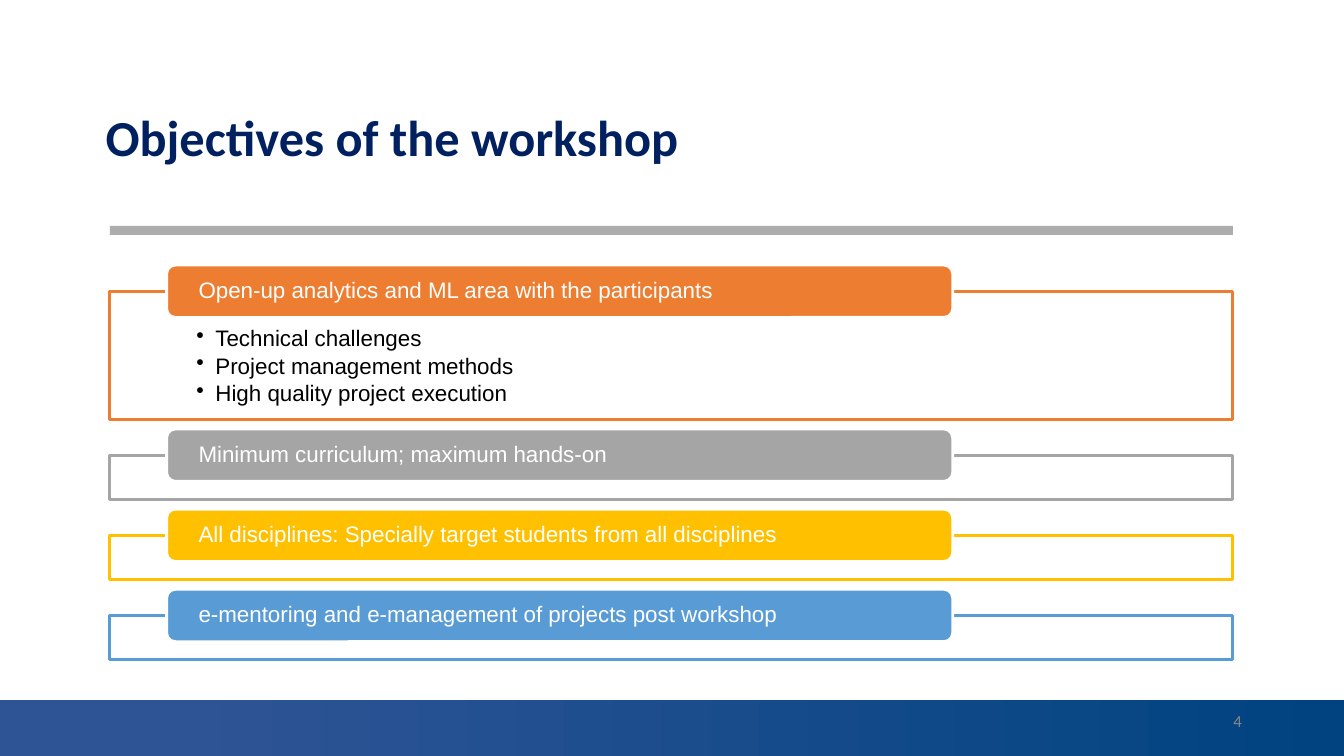
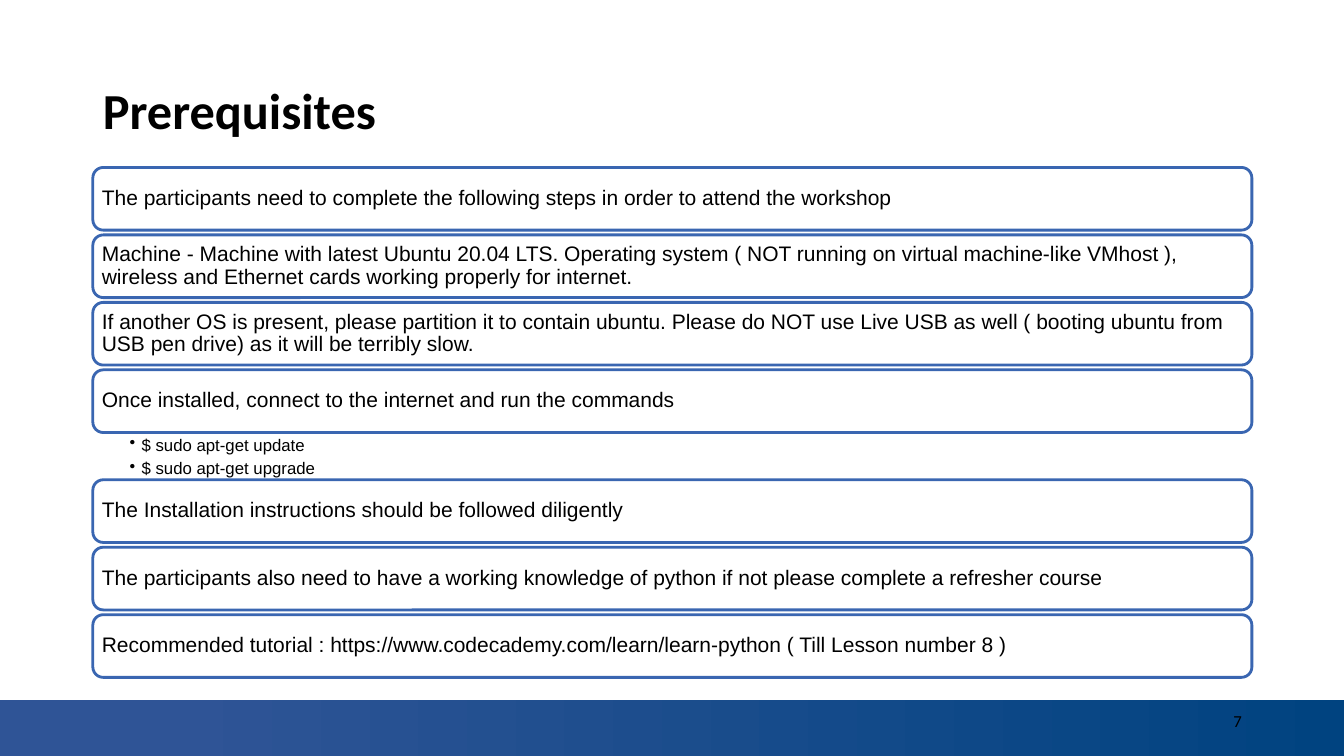
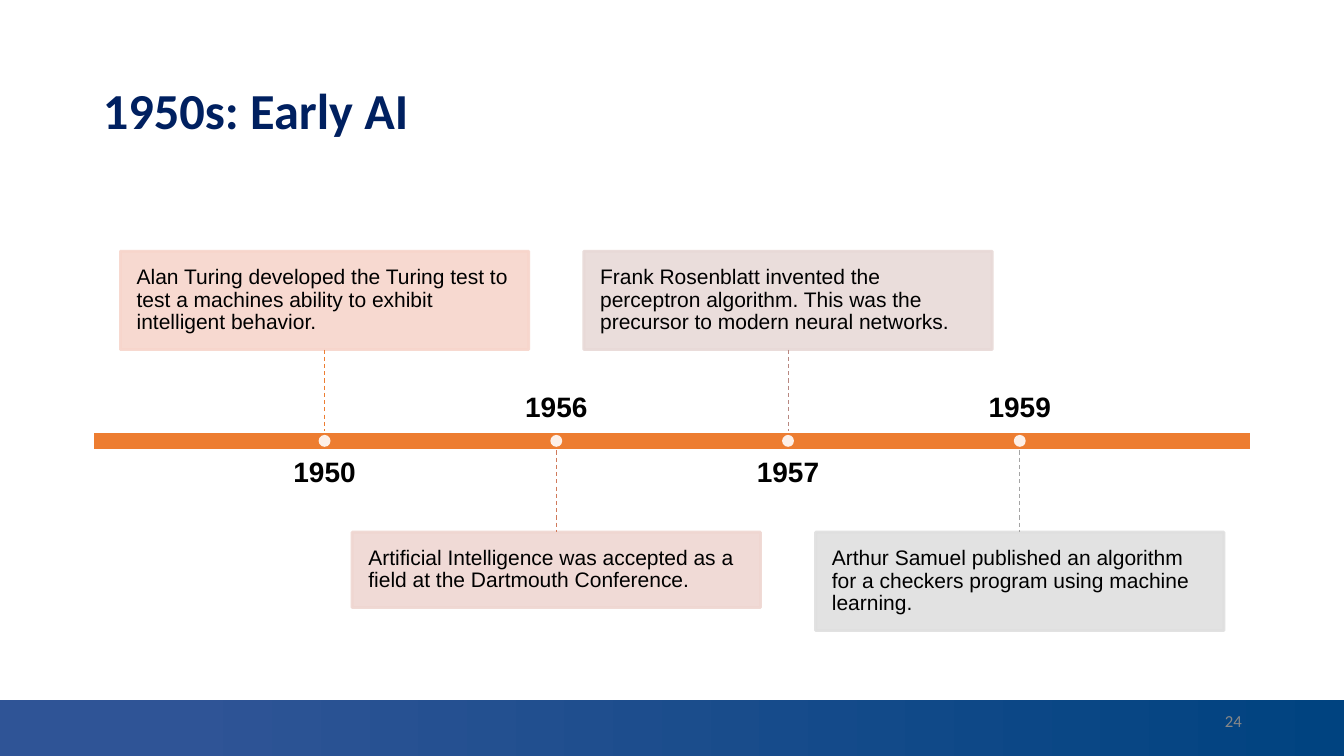
from lxml import etree
from pptx import Presentation
from pptx.dml.color import RGBColor
from pptx.enum import dml, shapes, text
from pptx.oxml.ns import qn
from pptx.util import Cm, Pt


class Theme:
    heading_font, body_font = "Calibri", "Arial"
    navy, black, white, page_grey = "002060", "000000", "FFFFFF", "888888"
    band_start, band_end = "2F5496", "004380"
    rule = "7F7F7F"
    orange, grey, gold, blue = "ED7D31", "A5A5A5", "FFC000", "599BD5"
    step_outline = "3A66B1"
    title_size, year_size, objective_size = 36, 20, 16
    body_size, small_size = 15, 12
    outline = 2
    veil = 89  # opacity of the light fills, in percent


LEFT = text.PP_ALIGN.LEFT
MIDDLE = text.MSO_ANCHOR.MIDDLE
RECTANGLE = shapes.MSO_SHAPE.RECTANGLE
ROUNDED = shapes.MSO_SHAPE.ROUNDED_RECTANGLE


def add_box(slide, kind, place, fill, line=None, opacity=(100, 100)):
    """Add a flat shape; place is in cm, opacity is for fill and line."""
    shape = slide.shapes.add_shape(kind, *map(Cm, place))
    shape.shadow.inherit = False
    shape.fill.solid()
    shape.fill.fore_color.rgb = RGBColor.from_string(fill)
    if line:
        shape.line.color.rgb = RGBColor.from_string(line)
        shape.line.width = Pt(Theme.outline)
    else:
        shape.line.fill.background()
    for colour, percent in zip(shape.element.iter(qn("a:srgbClr")), opacity):
        if percent < 100:
            etree.SubElement(colour, qn("a:alpha"), val=str(percent * 1000))
    return shape


def write(shape, lines, size, colour=Theme.black, font=Theme.body_font, bold=False,
          align=LEFT, anchor=MIDDLE, insets=(0.25, 0.13, 0.25, 0.13),
          spacing=0.9, hanging=None):
    """Write one paragraph per line; hanging is the bullet indent in cm."""
    frame = shape.text_frame
    frame.word_wrap = True
    frame.auto_size = text.MSO_AUTO_SIZE.NONE
    frame.vertical_anchor = anchor
    (frame.margin_left, frame.margin_top,
     frame.margin_right, frame.margin_bottom) = map(Cm, insets)
    for index, line in enumerate(lines):
        paragraph = frame.add_paragraph() if index else frame.paragraphs[0]
        if hanging:
            properties = paragraph._p.get_or_add_pPr()
            properties.set("marL", str(Cm(hanging)))
            properties.set("indent", str(-Cm(hanging)))
            bullet_colour = etree.SubElement(properties, qn("a:buClr"))
            etree.SubElement(bullet_colour, qn("a:srgbClr"), val=colour)
            etree.SubElement(properties, qn("a:buChar"), char="•")
        paragraph.alignment = align
        paragraph.line_spacing = spacing
        if index:
            paragraph.space_before = Pt(2.4)
        run = paragraph.add_run()
        run.text = line
        run.font.name, run.font.size, run.font.bold = font, Pt(size), bold
        run.font.color.rgb = RGBColor.from_string(colour)


presentation = Presentation()
presentation.slide_width, presentation.slide_height = Cm(33.87), Cm(19.05)
layout = presentation.slide_layouts[5]
for placeholder in list(layout.placeholders):
    if placeholder.placeholder_format.type != shapes.PP_PLACEHOLDER.TITLE:
        placeholder.element.getparent().remove(placeholder.element)

# Titles and page numbers
title_place = (2.34, 1.02, 29.21, 3.68)
pages = [
    ("Objectives of the workshop", Theme.navy, (2.41, 1.68, 29.03, 3.68),
     "4", Theme.page_grey),
    ("Prerequisites", Theme.black, title_place, "7", Theme.black),
    ("1950s: Early AI", Theme.navy, title_place, "24", Theme.page_grey),
]
for heading, heading_colour, place, number, number_colour in pages:
    slide = presentation.slides.add_slide(layout)
    title = slide.shapes.title
    title.left, title.top, title.width, title.height = map(Cm, place)
    write(title, [heading], Theme.title_size, heading_colour, Theme.heading_font, bold=True)
    page_number = slide.shapes.add_textbox(Cm(23.93), Cm(17.65), Cm(7.62), Cm(1.02))
    write(page_number, [number], Theme.small_size, number_colour, Theme.heading_font,
          align=text.PP_ALIGN.RIGHT, spacing=1.0)
    page_number.text_frame.paragraphs[0].space_after = Pt(6)
objectives, prerequisites, timeline = presentation.slides

# Bottom band, moved to the layout that all slides share
band = add_box(objectives, RECTANGLE, (0, 17.65, 33.87, 1.4), Theme.band_start)
band.fill.gradient()
band.fill.gradient_angle = 0
for stop, position, colour in zip(band.fill.gradient_stops, (0.13, 1),
                                  (Theme.band_start, Theme.band_end)):
    stop.position = position
    stop.color.rgb = RGBColor.from_string(colour)
layout.shapes.element.insert(2, band.element)

# Objectives: framed sections, each with a header across its top edge
frame_left, frame_width, frame_gap = 2.77, 28.3, 0.9
header_height = 1.32
add_box(objectives, RECTANGLE, (frame_left, 5.69, frame_width, 0.23), Theme.rule,
        opacity=(64, 100))
sections = [
    ("Open-up analytics and ML area with the participants", Theme.orange, 3.23,
     ["Technical challenges", "Project management methods",
      "High quality project execution"]),
    ("Minimum curriculum; maximum hands-on", Theme.grey, 1.12, []),
    ("All disciplines: Specially target students from all disciplines",
     Theme.gold, 1.12, []),
    ("e-mentoring and e-management of projects post workshop", Theme.blue, 1.12, []),
]
top = 7.34
for heading, colour, height, points in sections:
    frame = add_box(objectives, RECTANGLE, (frame_left, top, frame_width, height),
                    Theme.white, colour, (Theme.veil, 100))
    write(frame, points, Theme.objective_size, anchor=text.MSO_ANCHOR.TOP,
          insets=(2.18, 0.91, 2.18, 0.3), hanging=0.48)
    header = add_box(objectives, ROUNDED,
                     (4.2, top - header_height / 2, 19.81, header_height),
                     colour, Theme.white)
    write(header, [heading], Theme.objective_size, Theme.white,
          insets=(0.74, 0, 0.74, 0))
    top += height + frame_gap

# Prerequisites: stacked steps, with commands under one of them
step_left, step_width, step_height, step_gap = 2.34, 29.21, 1.58, 0.12
commands_height = 1.19
steps = [
    ("The participants need to complete the following steps in order to attend "
     "the workshop", []),
    ("Machine - Machine with latest Ubuntu 20.04 LTS. Operating system ( NOT running "
     "on virtual machine-like VMhost ), wireless and Ethernet cards working properly "
     "for internet.", []),
    ("If another OS is present, please partition it to contain ubuntu. Please do NOT "
     "use Live USB as well ( booting ubuntu from USB pen drive) as it will be "
     "terribly slow.", []),
    ("Once installed, connect to the internet and run the commands",
     ["$ sudo apt-get update", "$ sudo apt-get upgrade"]),
    ("The Installation instructions should be followed diligently", []),
    ("The participants also need to have a working knowledge of python if not please "
     "complete a refresher course", []),
    ("Recommended tutorial : https://www.codecademy.com/learn/learn-python "
     "( Till Lesson number 8 )", []),
]
top = 4.22
for step, commands in steps:
    box = add_box(prerequisites, ROUNDED, (step_left, top, step_width, step_height),
                  Theme.white, Theme.step_outline)
    write(box, [step], Theme.body_size, insets=(0.15,) * 4)
    top += step_height
    if commands:
        listing = prerequisites.shapes.add_textbox(
            Cm(step_left), Cm(top), Cm(step_width), Cm(commands_height))
        write(listing, commands, Theme.small_size, anchor=text.MSO_ANCHOR.TOP,
              insets=(0.93, 0.05, 0.3, 0.05), spacing=1.0, hanging=0.3)
        top += commands_height
    else:
        top += step_gap

# Timeline: events alternate above and below the bar
bar_top, bar_height = 10.87, 0.48
bar_bottom = bar_top + bar_height
first_event, event_step = 8.18, 5.84
event_width, stem_length = 10.29, 2.06
year_width, year_height, year_gap = 9.35, 1.37, 0.2
dot = 0.3
add_box(timeline, RECTANGLE, (2.34, bar_top, 29.21, bar_height), Theme.orange, Theme.white)
events = [
    ("1950", "Alan Turing developed the Turing test to test a machines ability to "
     "exhibit intelligent behavior.", 2.48, "F7D5CB", "ED7D31"),
    ("1956", "Artificial Intelligence was accepted as a field at the Dartmouth "
     "Conference.", 1.9, "EFD6D1", "D07A5B"),
    ("1957", "Frank Rosenblatt invented the perceptron algorithm. This was the "
     "precursor to modern neural networks.", 2.48, "E8D9D7", "B88881"),
    ("1959", "Arthur Samuel published an algorithm for a checkers program using "
     "machine learning.", 2.48, "DFDFDF", "A4A4A4"),
]
for index, (year, event, height, fill, stem_colour) in enumerate(events):
    centre = first_event + index * event_step
    if index % 2 == 0:
        stem_start, stem_end = bar_top - stem_length, bar_top
        event_top = stem_start - height
        year_top, year_anchor = bar_bottom + year_gap, text.MSO_ANCHOR.TOP
    else:
        stem_start, stem_end = bar_bottom, bar_bottom + stem_length
        event_top = stem_end
        year_top, year_anchor = bar_top - year_gap - year_height, text.MSO_ANCHOR.BOTTOM
    label = timeline.shapes.add_textbox(
        Cm(centre - year_width / 2), Cm(year_top), Cm(year_width), Cm(year_height))
    write(label, [year], Theme.year_size, bold=True, align=text.PP_ALIGN.CENTER,
          anchor=year_anchor, insets=(0,) * 4)
    card = add_box(timeline, RECTANGLE,
                   (centre - event_width / 2, event_top, event_width, height),
                   fill, fill, (Theme.veil, Theme.veil))
    write(card, [event], Theme.body_size, insets=(0.41,) * 4)
    stem = timeline.shapes.add_connector(
        shapes.MSO_CONNECTOR.STRAIGHT,
        Cm(centre), Cm(stem_start), Cm(centre), Cm(stem_end))
    stem.line.color.rgb = RGBColor.from_string(stem_colour)
    stem.line.width = Pt(0.75)
    stem.line.dash_style = dml.MSO_LINE.DASH
    etree.SubElement(stem.element.spPr, qn("a:effectLst"))
    add_box(timeline, shapes.MSO_SHAPE.OVAL,
            (centre - dot / 2, bar_top + (bar_height - dot) / 2, dot, dot),
            Theme.white, opacity=(Theme.veil, 100))

presentation.save("out.pptx")
